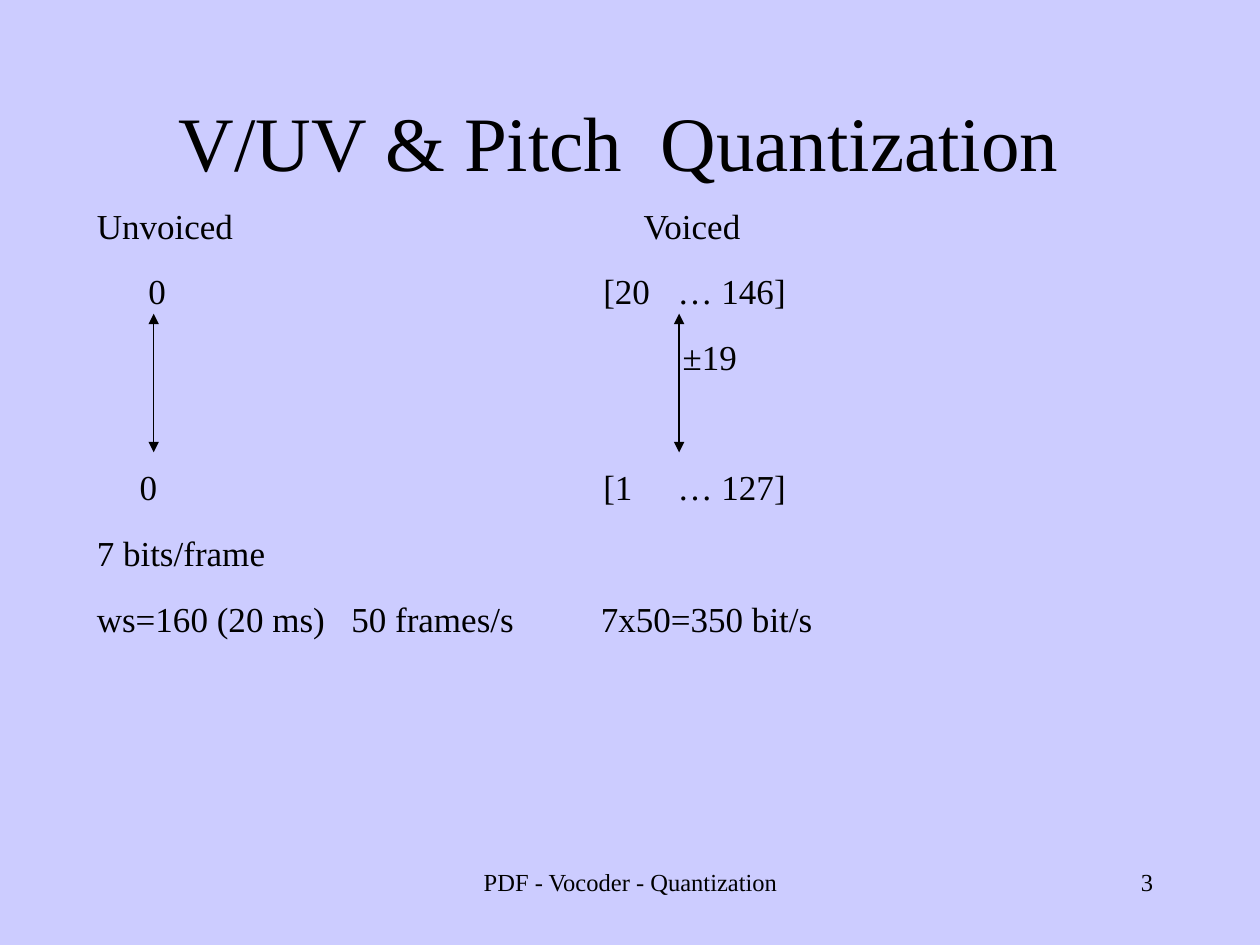
import pptx
import pptx.dml.color
import pptx.enum.shapes
import pptx.enum.text
import pptx.oxml
import pptx.oxml.ns
import pptx.util
from pptx.util import Inches

COLORS = {"background": "CCCCFF", "ink": "000000"}
FONT = "Times New Roman"
ALIGN = pptx.enum.text.PP_ALIGN
ANCHOR = pptx.enum.text.MSO_ANCHOR
ROW_GAP = 13.6
WIDE_GAP = 50.2

BODY_ROWS = [
    ("Unvoiced\tVoiced", [4.34], 0),
    ("\t0\t[20\t… 146]", [0.41, 4.02, 4.61], ROW_GAP),
    ("\t±19", [4.65], ROW_GAP),
    ("\t0\t[1\t… 127]", [0.34, 4.02, 4.61], WIDE_GAP),
    ("7 bits/frame", [], ROW_GAP),
    ("ws=160 (20 ms)\t50 frames/s\t7x50=350 bit/s", [2.02, 4], ROW_GAP),
]


def color(name):
    return pptx.dml.color.RGBColor.from_string(COLORS[name])


def add_tab_stops(paragraph, stops):
    if not stops:
        return
    properties = paragraph._p.get_or_add_pPr()
    tab_list = pptx.oxml.ns.qn("a:tabLst")
    tabs = properties.makeelement(tab_list, {})
    properties.append(tabs)
    for stop in stops:
        attributes = {"pos": str(Inches(stop)), "algn": "l"}
        tabs.append(tabs.makeelement(pptx.oxml.ns.qn("a:tab"), attributes))


def format_paragraph(paragraph, size, alignment=ALIGN.LEFT):
    paragraph.alignment = alignment
    for run in paragraph.runs:
        run.font.name = FONT
        run.font.size = pptx.util.Pt(size)
        run.font.color.rgb = color("ink")


def add_text_frame(slide, left, top, width, height, anchor=ANCHOR.TOP):
    shape = slide.shapes.add_textbox(
        Inches(left), Inches(top), Inches(width), Inches(height))
    text_frame = shape.text_frame
    text_frame.word_wrap = True
    text_frame.vertical_anchor = anchor
    return text_frame


def add_label(slide, text, box, size, alignment, anchor=ANCHOR.TOP):
    text_frame = add_text_frame(slide, *box, anchor=anchor)
    text_frame.text = text
    format_paragraph(text_frame.paragraphs[0], size, alignment)


def add_body(slide):
    text_frame = add_text_frame(slide, 0.67, 1.57, 8.5, 3.48)
    for index, (text, stops, gap) in enumerate(BODY_ROWS):
        paragraph = text_frame.add_paragraph() if index else text_frame.paragraphs[0]
        paragraph.text = text
        add_tab_stops(paragraph, stops)
        paragraph.space_before = pptx.util.Pt(gap)
        format_paragraph(paragraph, 20)


def add_double_arrow(slide, x, top, bottom):
    connector = slide.shapes.add_connector(
        pptx.enum.shapes.MSO_CONNECTOR.STRAIGHT,
        Inches(x), Inches(top), Inches(x), Inches(bottom))
    connector.line.color.rgb = color("ink")
    connector.line.width = pptx.util.Pt(0.75)
    line = connector.line._get_or_add_ln()
    for end in ("a:headEnd", "a:tailEnd"):
        line.append(line.makeelement(pptx.oxml.ns.qn(end), {"type": "triangle"}))
    properties = connector._element.spPr
    properties.append(properties.makeelement(pptx.oxml.ns.qn("a:effectLst"), {}))


def main():
    presentation = pptx.Presentation()
    presentation.slide_width = Inches(10)
    presentation.slide_height = Inches(7.5)
    slide = presentation.slides.add_slide(presentation.slide_layouts[6])
    slide.background.fill.solid()
    slide.background.fill.fore_color.rgb = color("background")

    add_label(slide, "PDF - Vocoder - Quantization",
              (3.42, 6.83, 3.17, 0.5), 14, ALIGN.CENTER)
    add_label(slide, "3", (7.17, 6.83, 2.08, 0.5), 14, ALIGN.RIGHT)
    add_label(slide, "V/UV & Pitch  Quantization",
              (0.58, 0.33, 8.67, 1.58), 44, ALIGN.CENTER, ANCHOR.MIDDLE)
    add_body(slide)
    for x in (1.22, 5.39):
        add_double_arrow(slide, x, 2.49, 3.59)

    presentation.save("out.pptx")


if __name__ == "__main__":
    main()
